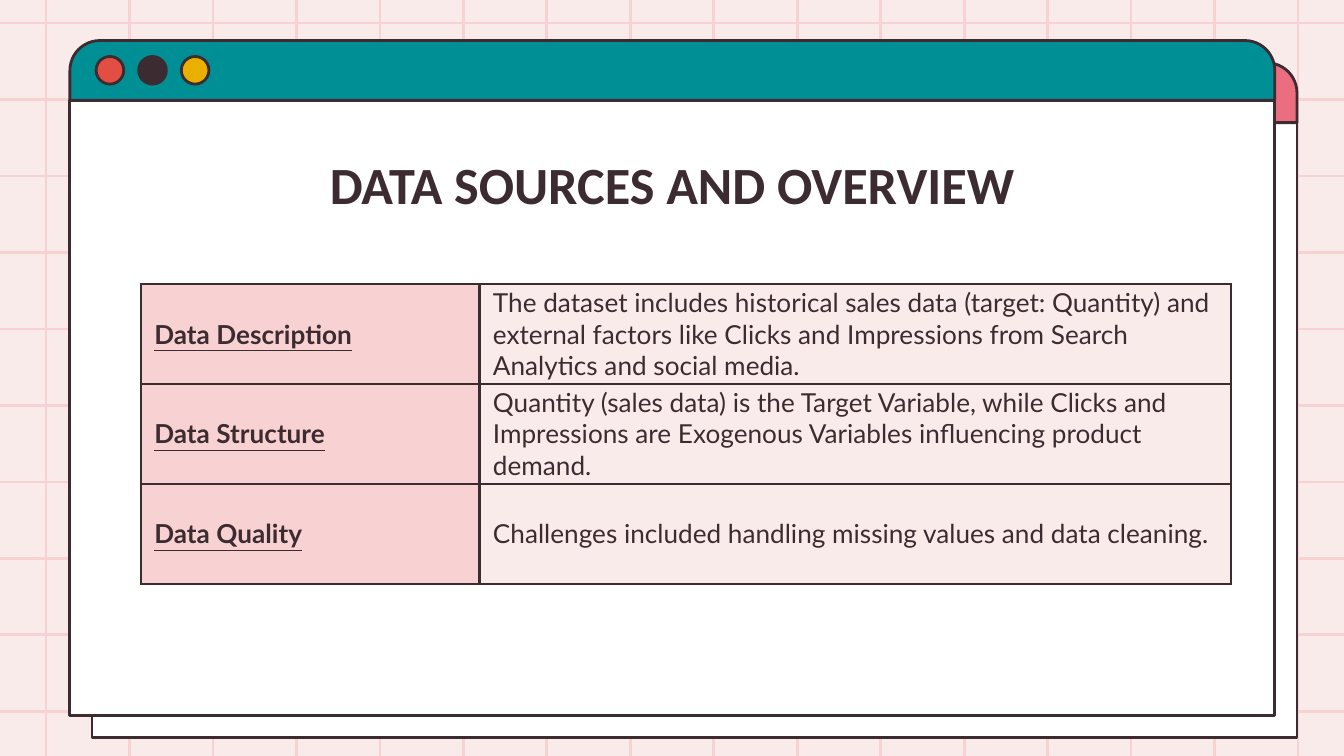
"""Build the data sources slide: a browser-style window holding a three-row table."""
from lxml import etree
from pptx import Presentation, util as u
from pptx.dml.color import RGBColor
from pptx.enum import shapes, text
from pptx.oxml import ns

INK = RGBColor(0x3C, 0x2C, 0x31)
WHITE = RGBColor(0xFF, 0xFF, 0xFF)
BLUSH = RGBColor(0xFA, 0xEB, 0xEB)
PINK = RGBColor(0xF8, 0xD2, 0xD2)
ROSE = RGBColor(0xEB, 0x6E, 0x80)
TEAL = RGBColor(0x00, 0x8F, 0x95)
RED = RGBColor(0xE2, 0x4E, 0x42)
GOLD = RGBColor(0xE9, 0xB0, 0x00)

deck = Presentation()
deck.slide_width = u.Inches(10)
deck.slide_height = deck.slide_width * 9 // 16
UNIT = deck.slide_width / 100
STROKE = u.Pt(1.5)
page = deck.slides.add_slide(deck.slide_layouts[6])
page.background.fill.solid()
page.background.fill.fore_color.rgb = BLUSH


def write(frame, words, font="Lato", size=14, bold=False, underline=False, align=None, after=None):
    para = frame.paragraphs[0]
    para.alignment = align
    para.space_after = after
    span = para.add_run()
    span.text = words
    span.font.name, span.font.size = font, u.Pt(size)
    span.font.bold, span.font.underline = bold, underline
    span.font.color.rgb = INK


def add_outlined(kind, left, top, width, height, fill):
    shape = page.shapes.add_shape(kind, *(round(n * UNIT) for n in (left, top, width, height)))
    shape.shadow.inherit = False
    shape.fill.solid()
    shape.fill.fore_color.rgb = fill
    shape.line.color.rgb = INK
    shape.line.width = STROKE
    return shape


columns = [round((3.43 + 6.21 * i) * UNIT) for i in range(16)]
rows = [round((1.72 + 5.69 * i) * UNIT) for i in range(10)]
grid_lines = [(x, 0, x, deck.slide_height) for x in columns]
grid_lines += [(0, y, deck.slide_width, y) for y in rows]
for ends in grid_lines:
    line = page.shapes.add_connector(shapes.MSO_CONNECTOR.STRAIGHT, *ends)
    line.line.color.rgb = PINK
    line.line.width = STROKE
    etree.SubElement(line._element.spPr, ns.qn("a:effectLst"))

for left, top, bar_color in ((6.85, 4.68, ROSE), (5.2, 3.02, TEAL)):
    add_outlined(shapes.MSO_SHAPE.RECTANGLE, left, top + 4.45, 89.65, 45.78, WHITE)
    bar = add_outlined(shapes.MSO_SHAPE.ROUND_2_SAME_RECTANGLE, left, top, 89.65, 4.45, bar_color)
    bar.adjustments[0] = 0.5
    for i, button_color in enumerate((RED, INK, GOLD)):
        add_outlined(shapes.MSO_SHAPE.OVAL, left + 1.95 + 3.17 * i, top + 1.18, 2.06, 2.06, button_color)

title_box = page.shapes.add_textbox(*(round(n * UNIT) for n in (9.8, 10.3, 80.4, 6.3)))
title = title_box.text_frame
title.word_wrap = True
title.margin_left = title.margin_right = title.margin_top = title.margin_bottom = round(UNIT)
write(title, "DATA SOURCES AND OVERVIEW", font="Calibri", size=28, bold=True, align=text.PP_ALIGN.CENTER)

facts = (
    ("Data Description", "The dataset includes historical sales data (target: Quantity) and external "
     "factors like Clicks and Impressions from Search Analytics and social media."),
    ("Data Structure", "Quantity (sales data) is the Target Variable, while Clicks and Impressions "
     "are Exogenous Variables influencing product demand."),
    ("Data Quality", "Challenges included handling missing values and data cleaning."),
)
table_frame = page.shapes.add_table(3, 2, *(round(n * UNIT) for n in (10.48, 21.13, 81.1, 22.32)))
table = table_frame.table
table.first_row = table.horz_banding = False
for column, width in zip(table.columns, (25.2, 55.9)):
    column.width = round(width * UNIT)

for row, (label, detail) in enumerate(facts):
    write(table.cell(row, 0).text_frame, label, bold=True, underline=True)
    write(table.cell(row, 1).text_frame, detail, after=u.Pt(16))

for cell in table.iter_cells():
    cell.vertical_anchor = text.MSO_ANCHOR.MIDDLE
    cell.margin_left = cell.margin_right = round(UNIT)
    cell.margin_top = cell.margin_bottom = 0
    cell.fill.solid()
    properties = cell._tc.get_or_add_tcPr()
    for i, side in enumerate(("lnL", "lnR", "lnT", "lnB")):
        border = etree.Element(ns.qn(f"a:{side}"), w=str(STROKE))
        fill = etree.SubElement(border, ns.qn("a:solidFill"))
        etree.SubElement(fill, ns.qn("a:srgbClr"), val=str(INK))
        properties.insert(i, border)

for row in range(3):
    for column, color in enumerate((PINK, BLUSH)):
        table.cell(row, column).fill.fore_color.rgb = color

deck.save("out.pptx")
